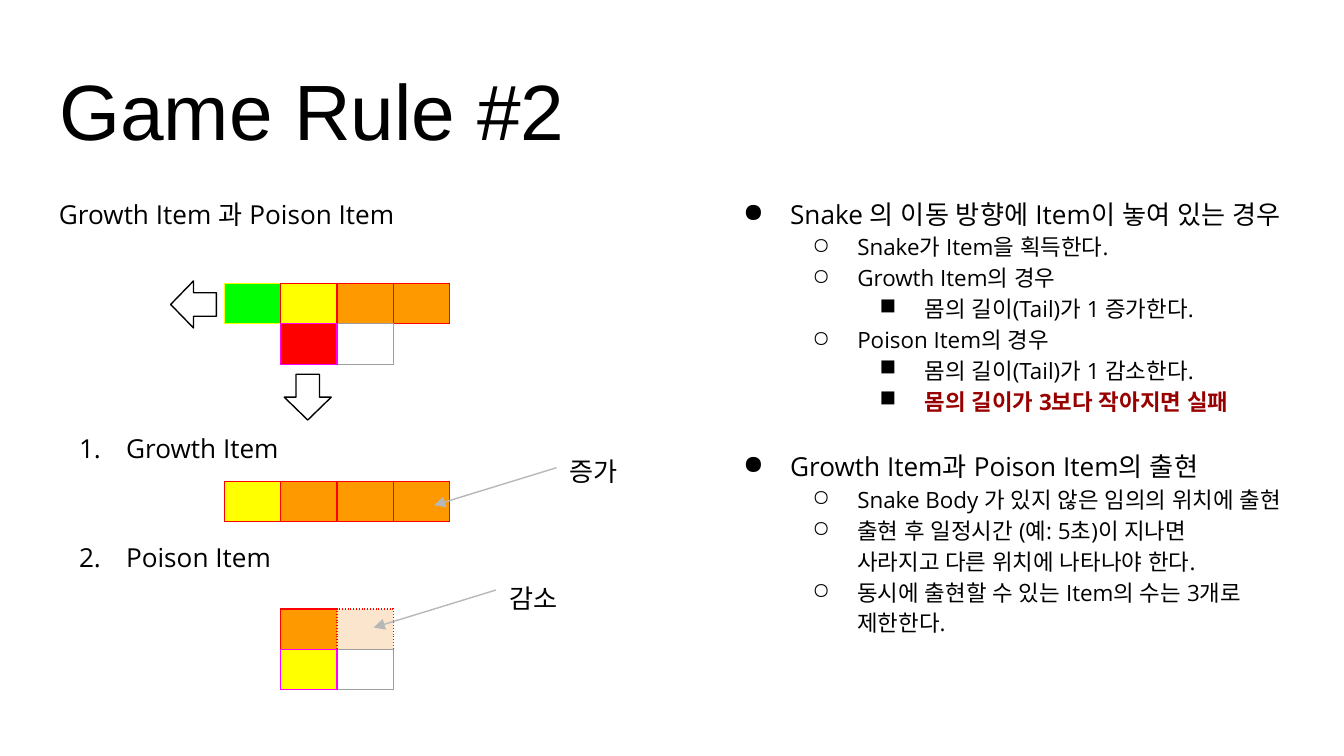
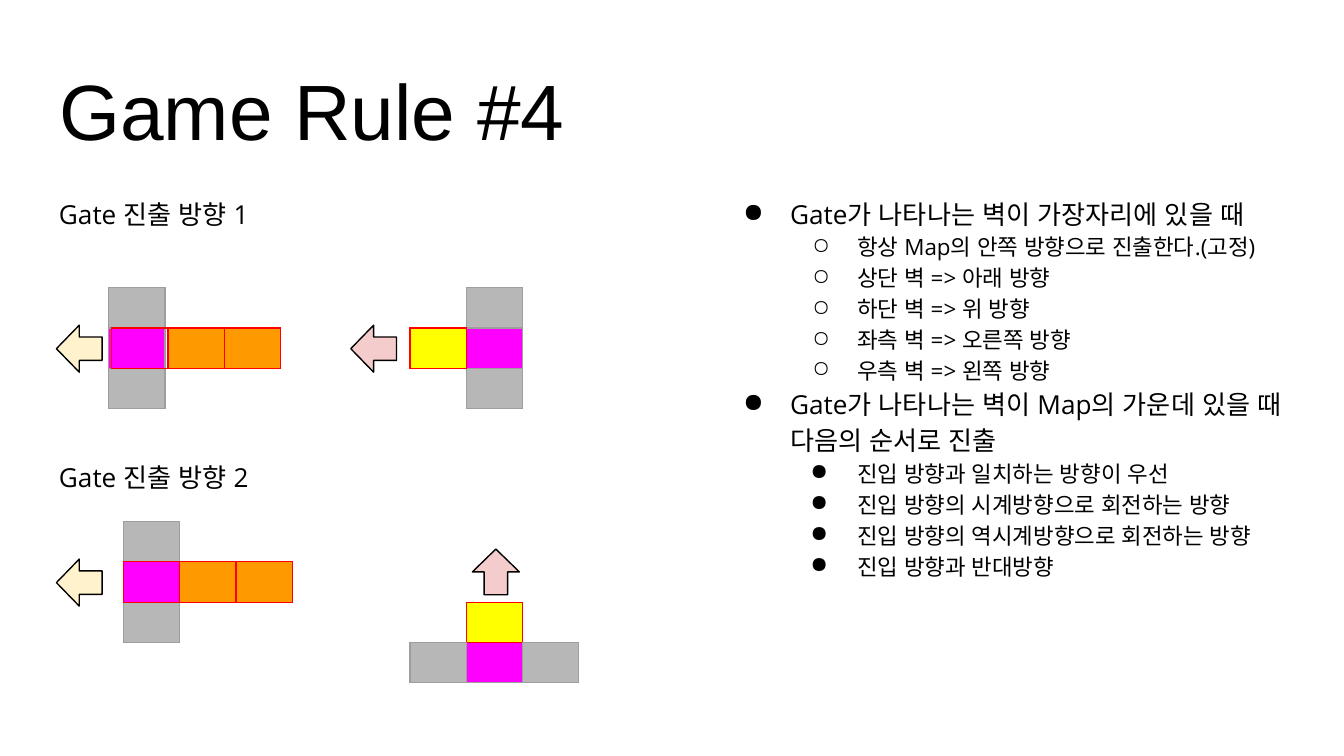
import pptx
import pptx.util
import pptx.dml.color
import pptx.enum.shapes
import pptx.enum.text
import pptx.oxml
import pptx.oxml.ns
from lxml import etree

Pt = pptx.util.Pt
qn = pptx.oxml.ns.qn

FONT = "Open Sans"
BLACK, DARK_RED, WHITE = "000000", "980000", "FFFFFF"
RED, YELLOW, ORANGE, GREEN = "FF0000", "FFFF00", "FF9900", "00FF00"
MAGENTA, PEACH, CREAM, PINK = "FF00FF", "FCE5CD", "FFF2CC", "F4CCCC"
WALL, GRAY = "B7B7B7", "9E9E9E"
CELL_W, CELL_H = 30.15, 21.6

# Cells are (fill, borders); borders are one colour or left, top, right, bottom
HEAD, BODY, EMPTY = (YELLOW, RED), (ORANGE, RED), (None, RED)
WALL_GATE = [[(WALL, GRAY)], [(MAGENTA, GRAY)], [(WALL, GRAY)]]


def beside(color):
    """Unfilled cell whose left border belongs to its coloured neighbour."""
    return (None, [color, GRAY, GRAY, GRAY])


# Paragraphs are (text, level, bullet, space before)
SLIDES = [
    {
        "title": "Game Rule #2",
        "left": [
            ("Growth Item 과 Poison Item", 0, None, 0),
            ("Growth Item", 0, "1.", 106),
            ("Poison Item", 0, "1.", 39),
        ],
        "right": [
            ("Snake 의 이동 방향에 Item이 놓여 있는 경우", 0, "●", 0),
            ("Snake가 Item을 획득한다.", 1, "○", 0),
            ("Growth Item의 경우", 1, "○", 0),
            ("몸의 길이(Tail)가 1 증가한다.", 2, "■", 0),
            ("Poison Item의 경우", 1, "○", 0),
            ("몸의 길이(Tail)가 1 감소한다.", 2, "■", 0),
            ("몸의 길이가 3보다 작아지면 실패", 2, "■", 0),
            ("Growth Item과 Poison Item의 출현", 0, "●", 16.6),
            ("Snake Body 가 있지 않은 임의의 위치에 출현", 1, "○", 0),
            ("출현 후 일정시간 (예: 5초)이 지나면\n사라지고 다른 위치에 나타나야 한다.", 1, "○", 0),
            ("동시에 출현할 수 있는 Item의 수는 3개로 제한한다.", 1, "○", 0),
        ],
        "tables": [
            (120.2, 151.9, [[(GREEN, YELLOW), beside(YELLOW)]]),
            (150.4, 151.9, [[HEAD, BODY, BODY]]),
            (150.4, 173.5, [[(RED, MAGENTA), beside(MAGENTA)]]),
            (120.2, 257.8, [[HEAD, BODY, BODY]]),
            (180.6, 257.8, [[BODY, BODY]]),
            (150.4, 326.2, [[(ORANGE, [RED, RED, RED + " dot", RED]), (PEACH, RED + " dot")]]),
            (150.4, 347.8, [[(YELLOW, MAGENTA), beside(MAGENTA)]]),
        ],
        "arrows": [(91.4, 150.5, 180, WHITE), (152.6, 200.2, 90, WHITE)],
        "callouts": [("증가", 298.1, 236.9, 250.6), ("감소", 265.7, 304.6, 316.1)],
    },
    {
        "title": "Game Rule #4",
        "left": [
            ("Gate 진출 방향 1", 0, None, 0),
            ("Gate 진출 방향 2", 0, None, 121.6),
        ],
        "right": [
            ("Gate가 나타나는 벽이 가장자리에 있을 때", 0, "●", 0),
            ("항상 Map의 안쪽 방향으로 진출한다.(고정)", 1, "○", 0),
            ("상단 벽 => 아래 방향", 1, "○", 0),
            ("하단 벽 => 위 방향", 1, "○", 0),
            ("좌측 벽 => 오른쪽 방향", 1, "○", 0),
            ("우측 벽 => 왼쪽 방향", 1, "○", 0),
            ("Gate가 나타나는 벽이 Map의 가운데 있을 때 다음의 순서로 진출", 0, "●", 0),
            ("진입 방향과 일치하는 방향이 우선", 1, "●", 0),
            ("진입 방향의 시계방향으로 회전하는 방향", 1, "●", 0),
            ("진입 방향의 역시계방향으로 회전하는 방향", 1, "●", 0),
            ("진입 방향과 반대방향", 1, "●", 0),
        ],
        "tables": [
            (58.3, 154.1, WALL_GATE),
            (219.6, 344.2, [[(WALL, [GRAY, GRAY, MAGENTA, GRAY]), (MAGENTA, MAGENTA),
                             (WALL, [MAGENTA, GRAY, GRAY, GRAY])]]),
            (66.2, 279.4, WALL_GATE),
            (66.2, 301, [[EMPTY, BODY, BODY]]),
            (249.8, 322.6, [[HEAD], [(None, [GRAY, RED, GRAY, GRAY])]]),
            (249.8, 154.1, WALL_GATE),
            (59.8, 175.7, [[EMPTY, BODY, BODY]]),
            (219.6, 175.7, [[HEAD, beside(RED)]]),
        ],
        "arrows": [(30.2, 174.2, 180, CREAM), (253.4, 293.8, 270, PINK),
                   (30.2, 299.5, 180, CREAM), (187.9, 174.2, 180, PINK)],
        "callouts": [],
    },
]


def rgb(value):
    return pptx.dml.color.RGBColor.from_string(value)


prs = pptx.Presentation()
prs.slide_width, prs.slide_height = Pt(720), Pt(405)

for page in SLIDES:
    s = prs.slides.add_slide(prs.slide_layouts[5])

    title = s.shapes.title
    title.left, title.top, title.width, title.height = Pt(24.5), Pt(25.2), Pt(671), Pt(65.5)
    tf = title.text_frame
    tf.vertical_anchor = pptx.enum.text.MSO_ANCHOR.BOTTOM
    tf.margin_left = tf.margin_right = tf.margin_top = tf.margin_bottom = Pt(7.2)
    p = tf.paragraphs[0]
    p.alignment = pptx.enum.text.PP_ALIGN.LEFT
    r = p.add_run()
    r.text = page["title"]
    r.font.size, r.font.name = Pt(42), "Arial"
    r.font.color.rgb = rgb(BLACK)

    # Two text columns, then the callout labels
    boxes = [(24.5, 96.5, 314.6, 264.2, page["left"], 1.15),
             (380.2, 96.5, 314.6, 264.2, page["right"], 1.15)]
    for label, x, y, line_y in page["callouts"]:
        boxes.append((x, y, 52.6, 27.4, [(label, 0, None, 0)], 1.0))
    for x, y, w, h, paragraphs, spacing in boxes:
        tf = s.shapes.add_textbox(Pt(x), Pt(y), Pt(w), Pt(h)).text_frame
        tf.word_wrap = True
        tf.margin_left = tf.margin_right = tf.margin_top = tf.margin_bottom = Pt(7.2)
        for i, (text, level, bullet, before) in enumerate(paragraphs):
            p = tf.paragraphs[0] if i == 0 else tf.add_paragraph()
            p.level = level
            p.line_spacing = spacing
            p.space_before = Pt(before)
            if bullet:
                pPr = p._p.get_or_add_pPr()
                pPr.set("marL", str(Pt(36 * (level + 1))))
                hanging = 25.2 if level == 0 or bullet == "●" else 24
                pPr.set("indent", str(-Pt(hanging)))
                buClr = etree.SubElement(pPr, qn("a:buClr"))
                etree.SubElement(buClr, qn("a:srgbClr")).set("val", BLACK)
                if bullet == "1.":
                    etree.SubElement(pPr, qn("a:buAutoNum")).set("type", "arabicPeriod")
                else:
                    etree.SubElement(pPr, qn("a:buChar")).set("char", bullet)
            for n, line in enumerate(text.split("\n")):
                if n:
                    p.add_line_break()
                r = p.add_run()
                r.text = line
                failure = line.endswith("실패")
                r.font.size, r.font.name = Pt(12 if level else 14), FONT
                r.font.bold = failure
                r.font.color.rgb = rgb(DARK_RED if failure else BLACK)
                etree.SubElement(r._r.get_or_add_rPr(), qn("a:ea")).set("typeface", FONT)

    for x, y, rows in page["tables"]:
        nr, nc = len(rows), len(rows[0])
        table = s.shapes.add_table(nr, nc, Pt(x), Pt(y), Pt(nc * CELL_W), Pt(nr * CELL_H)).table
        table.first_row = table.horz_banding = False
        for col in table.columns:
            col.width = Pt(CELL_W)
        for i, row in enumerate(rows):
            table.rows[i].height = Pt(CELL_H)
            for j, (fill, borders) in enumerate(row):
                cell = table.cell(i, j)
                cell.margin_left = cell.margin_right = cell.margin_top = cell.margin_bottom = 0
                end = etree.SubElement(cell.text_frame.paragraphs[0]._p, qn("a:endParaRPr"))
                end.set("sz", "800")
                tcPr = cell._tc.get_or_add_tcPr()
                if isinstance(borders, str):
                    borders = [borders] * 4
                for side, border in zip("LTRB", borders):
                    # Schema order of the border elements is L, R, T, B
                    ln = etree.Element(qn("a:ln" + side), w=str(Pt(0.75)))
                    tcPr.insert(1 if side == "R" else len(tcPr), ln)
                    line_fill = etree.SubElement(ln, qn("a:solidFill"))
                    etree.SubElement(line_fill, qn("a:srgbClr")).set("val", border[:6])
                    dash = "dot" if border.endswith("dot") else "solid"
                    etree.SubElement(ln, qn("a:prstDash")).set("val", dash)
                if fill:
                    cell.fill.solid()
                    cell.fill.fore_color.rgb = rgb(fill)
                else:
                    cell.fill.background()

    for x, y, angle, fill in page["arrows"]:
        sp = s.shapes.add_shape(pptx.enum.shapes.MSO_SHAPE.RIGHT_ARROW,
                                Pt(x), Pt(y), Pt(24.5), Pt(25.2))
        sp.rotation = angle
        sp.shadow.inherit = False
        sp.fill.solid()
        sp.fill.fore_color.rgb = rgb(fill)
        sp.line.color.rgb = rgb(BLACK)
        sp.line.width = Pt(0.75)

    for label, x, y, line_y in page["callouts"]:
        line = s.shapes.add_connector(pptx.enum.shapes.MSO_CONNECTOR.STRAIGHT,
                                      Pt(x), Pt(line_y), Pt(x - 65.5), Pt(line_y + 20.1))
        line.line.color.rgb = rgb(WALL)
        line.line.width = Pt(0.75)
        etree.SubElement(line.line._get_or_add_ln(), qn("a:tailEnd")).set("type", "triangle")
        etree.SubElement(line._element.spPr, qn("a:effectLst"))

prs.save("out.pptx")
